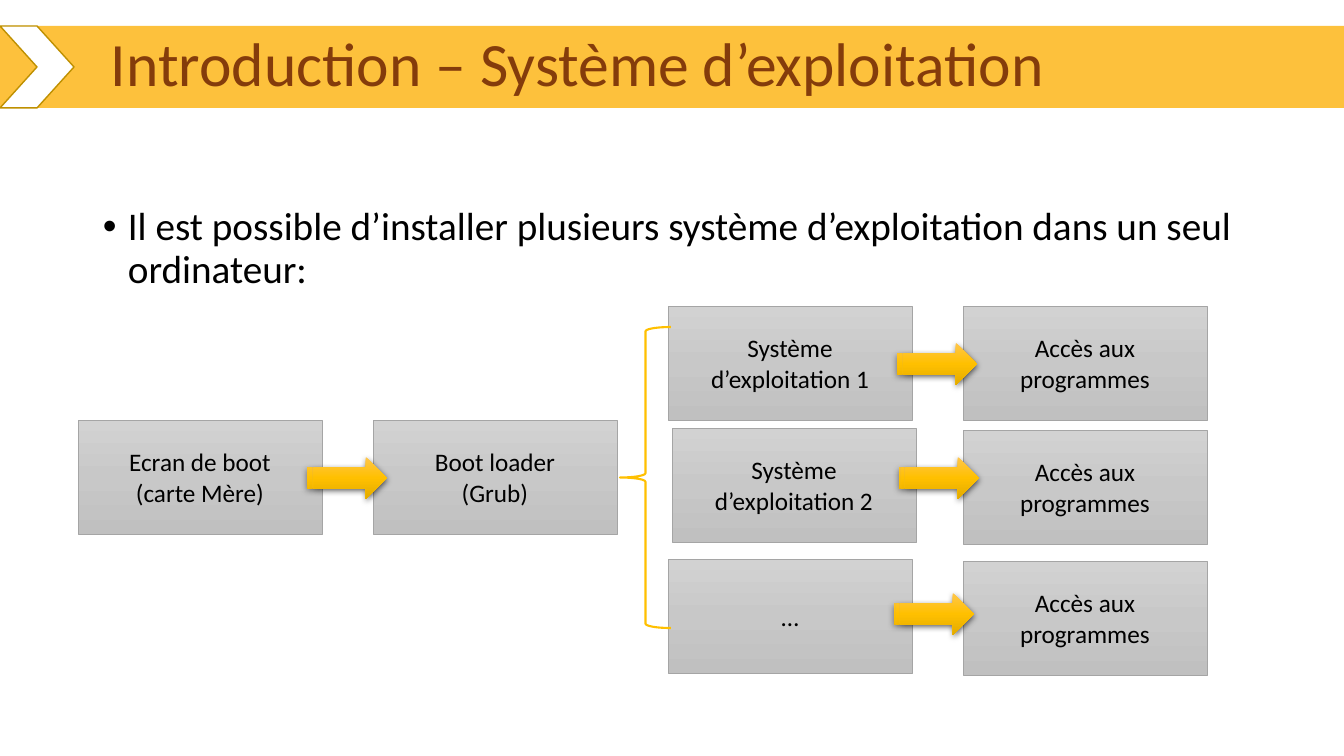
"""Build the slide that explains booting several operating systems."""
from dataclasses import dataclass

from copy import deepcopy
from lxml.etree import SubElement
from pptx import Presentation
from pptx.dml.color import RGBColor
from pptx.enum.shapes import MSO_SHAPE
from pptx.enum.text import MSO_ANCHOR, PP_ALIGN
from pptx.oxml.ns import qn
from pptx.util import Emu, Pt

TITLE = "Introduction – Système d’exploitation"
STATEMENT = "Il est possible d’installer plusieurs système d’exploitation dans un seul ordinateur:"
ACCESS = ["Accès aux programmes"]
STEPS = [
    (0, 0, 420, ["Ecran de boot", "(carte Mère)"]),
    (1, 0, 420, ["Boot loader", "(Grub)"]),
    (2, 0, 306, ["Système d’exploitation 1"]),
    (2, 4, 428, ["Système d’exploitation 2"]),
    (2, 0, 559, ["…"]),
    (3, 0, 306, ACCESS),
    (3, 0, 430, ACCESS),
    (3, 0, 561, ACCESS),
]
ARROWS = [(307, 457), (897, 343), (899, 457), (894, 593)]

SLIDE_SIZE = (1344, 756)
BANNER = (0, 26, 1344, 82)
CHEVRON = (0, 26, 74, 82)
STATEMENT_AREA = (93, 202, 1159, 480)
BRACE = (620, 327, 51, 301)
STEP_SIZE = (244, 114)
ARROW_SIZE = (80, 42)
FIRST_COLUMN, COLUMN_PITCH = 78, 295
TITLE_INDENT, BULLET_INDENT = 111, 25


@dataclass(frozen=True)
class Theme:
    """Colours and type sizes of the slide."""
    font: str = "Calibri"
    title_size: int = 44
    statement_size: int = 28
    step_size: int = 18
    text: str = "000000"
    title: str = "843C0B"
    banner: str = "FDC13C"
    chevron: str = "FFFFFF"
    chevron_line: str = "BF9000"
    step_line: str = "A5A5A5"
    brace_line: str = "FFC000"
    step_fill: tuple = ("D2D2D2", "C8C8C8", "C0C0C0")
    arrow_fill: tuple = ("FFC64B", "FFC000", "E3AB00")


THEME = Theme()


def px(length):
    """Turn px into EMU."""
    return Emu(round(length * 914400 / 100.8))


def set_gradient(shape, colours):
    """Fill a shape from top to bottom with three evenly spaced colours."""
    shape.fill.gradient()
    shape.fill.gradient_angle = 270
    stop_list = shape.fill._xPr.find(qn("a:gradFill")).find(qn("a:gsLst"))
    stop_list.insert(1, deepcopy(stop_list[0]))
    for index, (stop, colour) in enumerate(zip(shape.fill.gradient_stops, colours)):
        stop.position = index / 2
        stop.color.rgb = RGBColor.from_string(colour)


def add_shape(page, kind, area, fill=None, line=None, width=1):
    """Add a preset shape with a plain, gradient or empty fill."""
    shape = page.shapes.add_shape(kind, *map(px, area))
    shape.shadow.inherit = False
    if fill is None:
        shape.fill.background()
    elif isinstance(fill, tuple):
        set_gradient(shape, fill)
    else:
        shape.fill.solid()
        shape.fill.fore_color.rgb = RGBColor.from_string(fill)
    if line:
        shape.line.color.rgb = RGBColor.from_string(line)
        shape.line.width = Pt(width)
    else:
        shape.line.fill.background()
    return shape


def write(shape, lines, size, colour, align):
    """Write lines as paragraphs in one style and return the text frame."""
    frame = shape.text_frame
    frame.word_wrap = True
    frame.text = "\n".join(lines)
    for para in frame.paragraphs:
        para.alignment = align
        for span in para.runs:
            span.font.name = THEME.font
            span.font.size = Pt(size)
            span.font.color.rgb = RGBColor.from_string(colour)
    return frame


def add_statement(page):
    """Add the bulleted statement."""
    box = page.shapes.add_textbox(*map(px, STATEMENT_AREA))
    frame = write(box, [STATEMENT], THEME.statement_size, THEME.text, PP_ALIGN.LEFT)
    para = frame.paragraphs[0]
    para.line_spacing = 0.9
    para.space_before = Pt(10)
    properties = para._p.get_or_add_pPr()
    properties.set("marL", str(px(BULLET_INDENT)))
    properties.set("indent", str(-px(BULLET_INDENT)))
    SubElement(properties, qn("a:buFont"), typeface="Arial")
    SubElement(properties, qn("a:buChar"), char="•")


def add_step(page, column, shift, top, lines):
    """Add one grey step of the boot sequence."""
    left = FIRST_COLUMN + column * COLUMN_PITCH + shift
    step = add_shape(page, MSO_SHAPE.RECTANGLE, (left, top, *STEP_SIZE),
                     THEME.step_fill, THEME.step_line, 0.5)
    frame = write(step, lines, THEME.step_size, THEME.text, PP_ALIGN.CENTER)
    frame.vertical_anchor = MSO_ANCHOR.MIDDLE


def add_banner(page):
    """Add the title banner and its chevron."""
    banner = add_shape(page, MSO_SHAPE.RECTANGLE, BANNER, THEME.banner)
    frame = write(banner, [TITLE], THEME.title_size, THEME.title, PP_ALIGN.LEFT)
    frame.margin_left = px(TITLE_INDENT)
    frame.vertical_anchor = MSO_ANCHOR.MIDDLE
    frame.paragraphs[0].line_spacing = 0.9
    add_shape(page, MSO_SHAPE.CHEVRON, CHEVRON, THEME.chevron, THEME.chevron_line)


def add_arrow(page, left, top):
    """Add a striped arrow with a soft shadow below it."""
    arrow = add_shape(page, MSO_SHAPE.STRIPED_RIGHT_ARROW,
                      (left, top, *ARROW_SIZE), THEME.arrow_fill)
    effects = arrow._element.spPr.find(qn("a:effectLst"))
    shadow = SubElement(effects, qn("a:outerShdw"), blurRad=str(Pt(4.5)),
                        dist=str(Pt(1.5)), dir="5400000", algn="ctr", rotWithShape="0")
    colour = SubElement(shadow, qn("a:srgbClr"), val=THEME.text)
    SubElement(colour, qn("a:alpha"), val="63000")


def main():
    """Build and save the deck."""
    deck = Presentation()
    deck.slide_width, deck.slide_height = map(px, SLIDE_SIZE)
    page = deck.slides.add_slide(deck.slide_layouts[6])
    add_statement(page)
    for step in STEPS:
        add_step(page, *step)
    add_banner(page)
    for arrow in ARROWS:
        add_arrow(page, *arrow)
    add_shape(page, MSO_SHAPE.LEFT_BRACE, BRACE, line=THEME.brace_line, width=1.5)
    deck.save("out.pptx")


if __name__ == "__main__":
    main()
